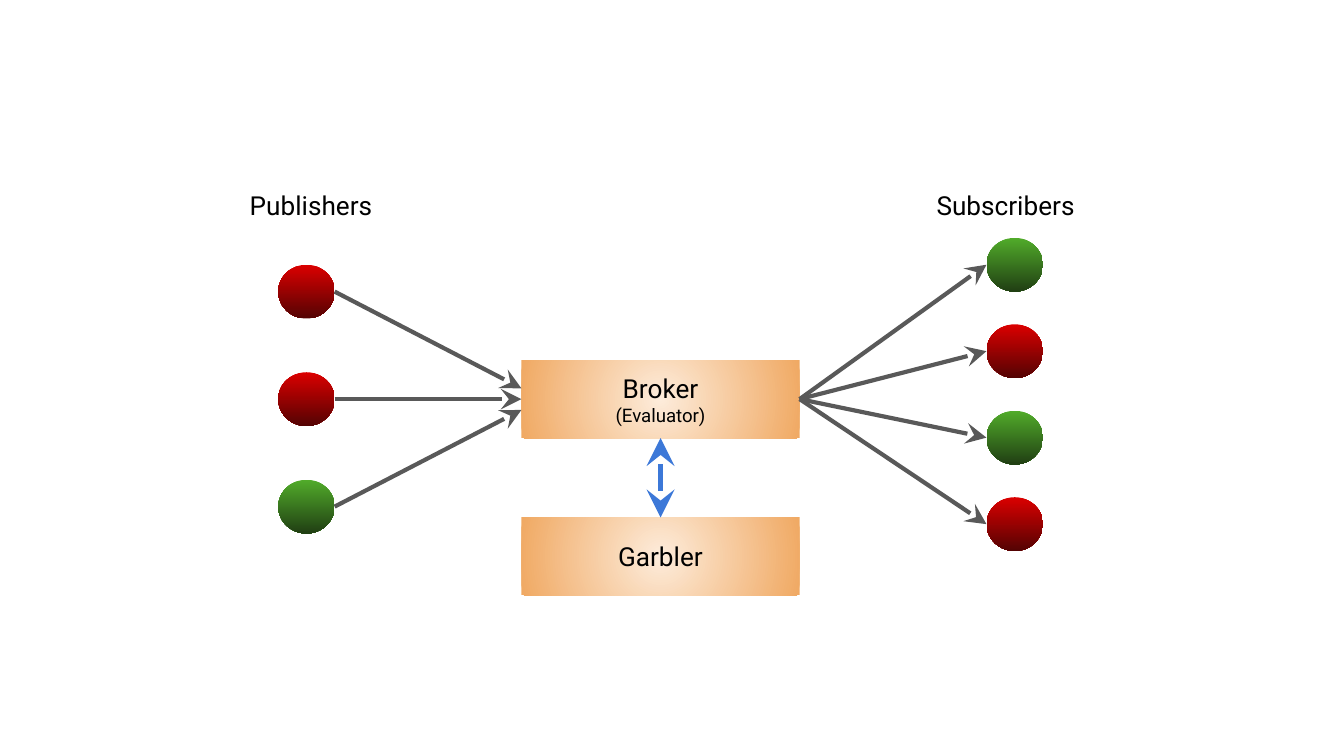
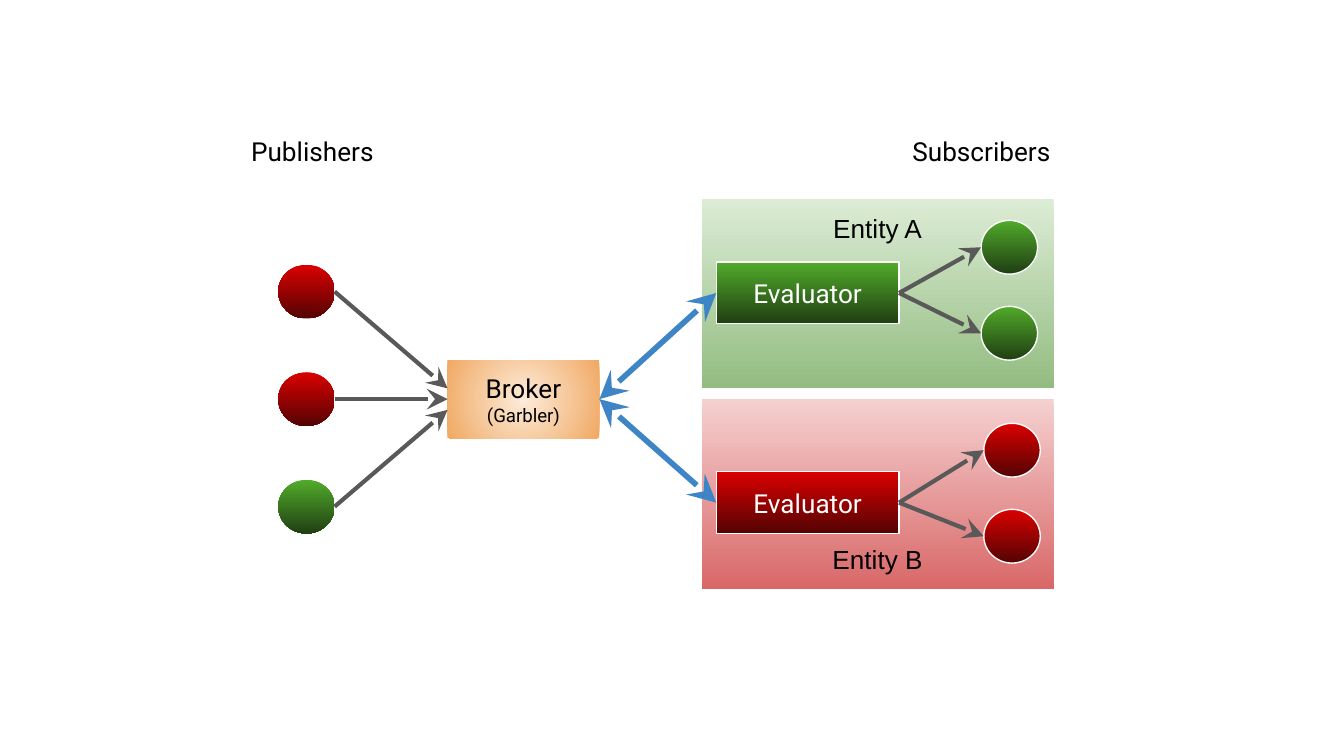
import lxml.etree
import pptx
import pptx.dml.color
import pptx.enum.shapes
import pptx.enum.text
import pptx.oxml.ns
import pptx.util

Inches = pptx.util.Inches
Shapes = pptx.enum.shapes.MSO_SHAPE
Anchor = pptx.enum.text.MSO_ANCHOR
Align = pptx.enum.text.PP_ALIGN

GREEN = ("51AB2A", "203E13")
RED = ("DB0000", "540303")
ORANGE = ("FDECDB", "F0A963")
PALE_GREEN = ("DCECD5", "93BC81")
PALE_RED = ("F5D0D0", "D96868")
BLACK, WHITE, GRAY = "000000", "FFFFFF", "595959"
NODE_WIDTH, NODE_HEIGHT = 0.42, 0.4


def color(value):
    """Turn a hex string into a colour."""
    return pptx.dml.color.RGBColor.from_string(value)


def add_element(parent, tag, **attributes):
    """Append an XML element with the given attributes."""
    return lxml.etree.SubElement(parent, pptx.oxml.ns.qn(tag), attributes)


def fill_gradient(shape, colors, radial=False):
    """Fill a shape from top to bottom, or from its centre outwards."""
    shape.fill.gradient()
    shape.fill.gradient_angle = 270
    for stop, value in zip(shape.fill.gradient_stops, colors):
        stop.color.rgb = color(value)
    if radial:
        gradient = shape._element.spPr.find(pptx.oxml.ns.qn("a:gradFill"))
        gradient.remove(gradient.find(pptx.oxml.ns.qn("a:lin")))
        circle = add_element(gradient, "a:path", path="circle")
        add_element(circle, "a:fillToRect", l="50000", t="50000", r="50000", b="50000")


def write(shape, lines, font="Roboto", text_color=BLACK, anchor=Anchor.MIDDLE, align=Align.CENTER):
    """Write (text, size) lines into a shape."""
    frame = shape.text_frame
    frame.word_wrap = True
    frame.vertical_anchor = anchor
    frame.margin_left = frame.margin_right = Inches(0.1)
    frame.margin_top = frame.margin_bottom = Inches(0.1)
    frame.text = "\n".join(text for text, size in lines)
    for paragraph, (text, size) in zip(frame.paragraphs, lines):
        paragraph.alignment = align
        for run in paragraph.runs:
            run.font.name = font
            run.font.size = pptx.util.Pt(size)
            run.font.color.rgb = color(text_color)


def add_block(slide, kind, box, colors, outlined=False, radial=False):
    """Add a gradient shape, with a thin white outline if asked."""
    shape = slide.shapes.add_shape(kind, *map(Inches, box))
    shape.shadow.inherit = False
    fill_gradient(shape, colors, radial)
    if outlined:
        shape.line.color.rgb = color(WHITE)
        shape.line.width = pptx.util.Pt(0.75)
    else:
        shape.line.fill.background()
    return shape


def add_arrow(slide, start, end, line_color=GRAY, width=2.25, both=False):
    """Add a straight arrow between two points."""
    arrow = slide.shapes.add_connector(
        pptx.enum.shapes.MSO_CONNECTOR.STRAIGHT, *map(Inches, (*start, *end)))
    arrow.line.color.rgb = color(line_color)
    arrow.line.width = pptx.util.Pt(width)
    line = arrow.line._get_or_add_ln()
    for tag in ("a:headEnd", "a:tailEnd") if both else ("a:tailEnd",):
        add_element(line, tag, type="stealth", w="lg", len="lg")
    add_element(arrow._element.spPr, "a:effectLst")


def add_label(slide, left, top, width, text):
    """Add the heading of a column of nodes."""
    label = slide.shapes.add_textbox(*map(Inches, (left, top, width, 0.4)))
    write(label, [(text, 14)], anchor=Anchor.TOP, align=Align.LEFT)


def add_nodes(slide, left, top, span, palettes, outlined=False):
    """Space round nodes evenly over a span and return their middle heights."""
    middles = []
    for index, colors in enumerate(palettes):
        node_top = top + index * span / (len(palettes) - 1)
        add_block(slide, Shapes.OVAL, (left, node_top, NODE_WIDTH, NODE_HEIGHT), colors, outlined)
        middles.append(node_top + NODE_HEIGHT / 2)
    return middles


def right_middle(box):
    """Return the middle of a box's right side."""
    left, top, width, height = box
    return left + width, top + height / 2


def add_service(slide, box, lines):
    """Add an orange service box."""
    write(add_block(slide, Shapes.RECTANGLE, box, ORANGE, radial=True), lines)


def add_publishers(slide, left, top, broker):
    """Add the publishers and their arrows into the broker."""
    middles = add_nodes(slide, left, top, 1.6, (RED, RED, GREEN))
    broker_middle = right_middle(broker)[1]
    for middle, offset in zip(middles, (-0.08, 0, 0.08)):
        add_arrow(slide, (left + NODE_WIDTH, middle), (broker[0], broker_middle + offset))


def add_subscribers(slide, left, top, span, source, palettes, outlined=False):
    """Add subscribers fed by arrows from one point."""
    for middle in add_nodes(slide, left, top, span, palettes, outlined):
        add_arrow(slide, source, (left, middle))


def add_entity(slide, box, name, anchor, panel_colors, colors, evaluator_top, node_left, node_top):
    """Add an entity panel and return where its evaluator is entered."""
    left, top, width, height = box
    panel = add_block(slide, Shapes.RECTANGLE, box, panel_colors)
    write(panel, [(name, 14)], font="Arial", anchor=anchor)
    evaluator = (left + 0.11, top + evaluator_top, 1.36, 0.46)
    shape = add_block(slide, Shapes.RECTANGLE, evaluator, colors, outlined=True)
    write(shape, [("Evaluator", 14)], text_color=WHITE)
    source = right_middle(evaluator)
    add_subscribers(slide, left + node_left, top + node_top, 0.64, source, (colors, colors), True)
    return evaluator[0], source[1]


def build_central_evaluation(slide):
    """Draw the broker that evaluates, with a separate garbler."""
    broker, garbler = (3.88, 2.68, 2.07, 0.58), (3.88, 3.85, 2.07, 0.58)
    add_service(slide, broker, [("Broker", 14), ("(Evaluator)", 10)])
    add_service(slide, garbler, [("Garbler", 14)])
    center = broker[0] + broker[2] / 2
    add_arrow(slide, (center, broker[1] + broker[3]), (center, garbler[1]), "3C78D8", 3, both=True)
    add_label(slide, 1.76, 1.31, 1.13, "Publishers")
    add_label(slide, 6.87, 1.31, 1.36, "Subscribers")
    add_publishers(slide, 2.07, 1.97, broker)
    add_subscribers(slide, 7.34, 1.77, 1.93, right_middle(broker), (GREEN, RED, GREEN, RED))


def build_entity_evaluation(slide):
    """Draw the broker that garbles for one evaluator in each entity."""
    broker = (3.33, 2.68, 1.13, 0.58)
    entries = (
        add_entity(slide, (5.22, 1.48, 2.62, 1.41), "Entity A", Anchor.TOP,
                   PALE_GREEN, GREEN, 0.47, 2.08, 0.16),
        add_entity(slide, (5.22, 2.97, 2.62, 1.41), "Entity B", Anchor.BOTTOM,
                   PALE_RED, RED, 0.54, 2.1, 0.18),
    )
    add_service(slide, broker, [("Broker", 14), ("(Garbler)", 10)])
    for entry in entries:
        add_arrow(slide, right_middle(broker), entry, "3D85C6", 3, both=True)
    add_label(slide, 1.77, 0.91, 1.13, "Publishers")
    add_label(slide, 6.69, 0.91, 1.36, "Subscribers")
    add_publishers(slide, 2.07, 1.97, broker)


def main():
    """Build and save the presentation."""
    presentation = pptx.Presentation()
    presentation.slide_width = Inches(10)
    presentation.slide_height = Inches(10) * 9 // 16
    for build in (build_central_evaluation, build_entity_evaluation):
        build(presentation.slides.add_slide(presentation.slide_layouts[6]))
    presentation.save("out.pptx")


main()
